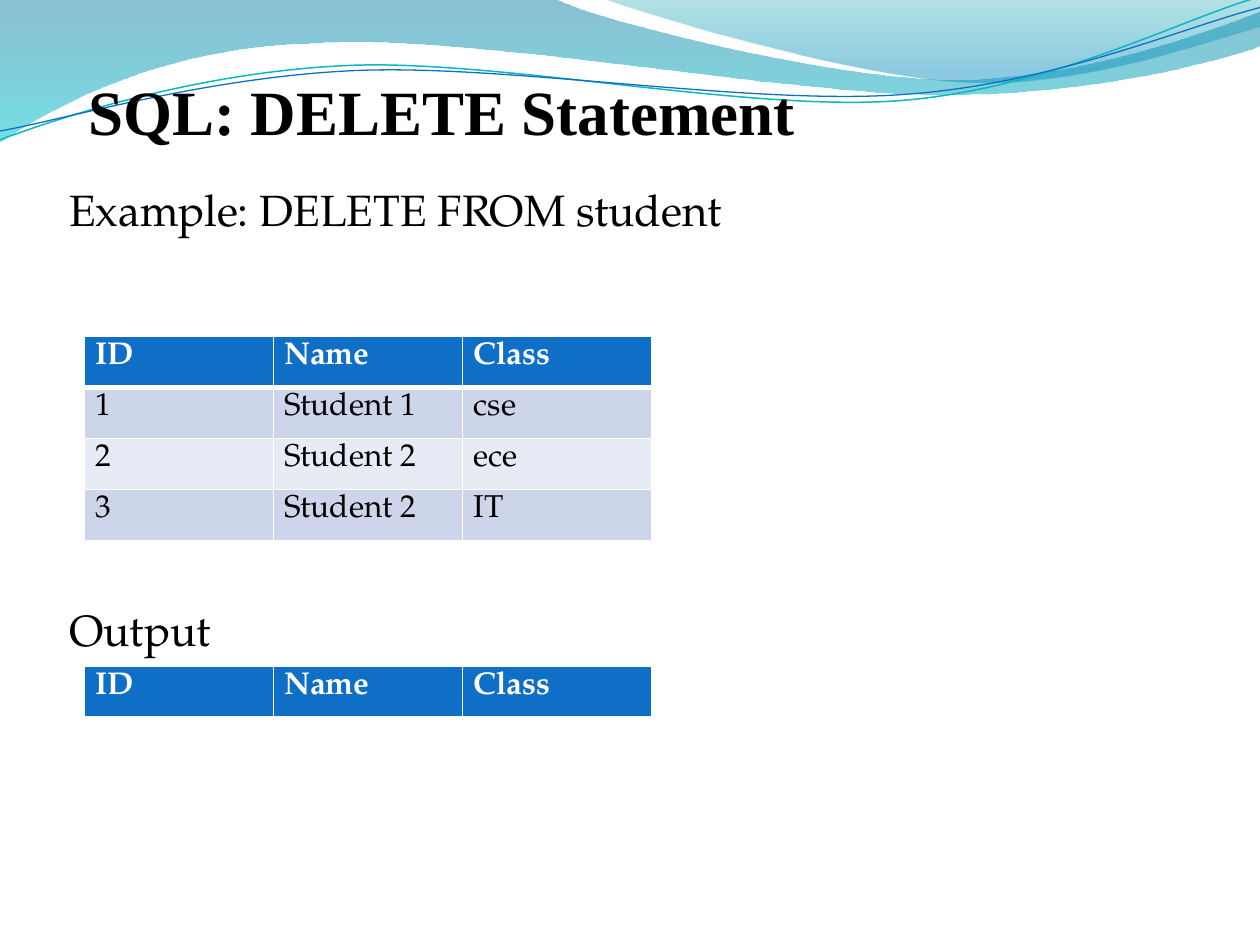
"""Build the SQL DELETE statement slide with its wave header and two tables."""
from lxml import etree
from pptx import Presentation
from pptx.dml.color import RGBColor
from pptx.oxml.ns import qn
from pptx.util import Inches, Pt

BLACK = RGBColor(0x00, 0x00, 0x00)
WHITE = RGBColor(0xFF, 0xFF, 0xFF)
BLUE = RGBColor(0x0F, 0x6F, 0xC6)
TEAL = RGBColor(0x0A, 0xB8, 0xBF)
BAND_DARK = RGBColor(0xCC, 0xD5, 0xEA)
BAND_LIGHT = RGBColor(0xE7, 0xEB, 0xF5)
DEEP_BLUE = RGBColor(0x00, 0x74, 0xA1)
CYAN = RGBColor(0x00, 0xC6, 0xCF)
SEA_GREEN = RGBColor(0x00, 0xA1, 0xA9)
SKY_BLUE = RGBColor(0x00, 0x8B, 0xBF)
BODY_FONT = "TeX Gyre Pagella"
TITLE_FONT = "Times New Roman"

presentation = Presentation()
presentation.slide_width = Inches(10)
presentation.slide_height = Inches(7.5)
slide = presentation.slides.add_slide(presentation.slide_layouts[6])


def add_wave(start, segments, close):
    """Draw a path of two-number lines and six-number Bezier curves."""
    points = [(Inches(segment[i]), Inches(segment[i + 1]))
              for segment in segments for i in range(0, len(segment), 2)]
    builder = slide.shapes.build_freeform(Inches(start[0]), Inches(start[1]))
    builder.add_line_segments(points, close=close)
    shape = builder.convert_to_shape()
    shape.shadow.inherit = False
    lines = iter(list(shape.element.spPr.iter(qn("a:lnTo"))))
    for segment in segments:
        line = next(lines)
        if len(segment) == 6:
            curve = etree.Element(qn("a:cubicBezTo"))
            line.addprevious(curve)
            for member in (line, next(lines), next(lines)):
                curve.append(member[0])
                member.getparent().remove(member)
    return shape


def style_runs(paragraph, font_name, size, color, bold=False):
    """Format every run of a paragraph."""
    for run in paragraph.runs:
        run.font.name = font_name
        run.font.size = Pt(size)
        run.font.color.rgb = color
        run.font.bold = bold


filled_waves = [
    ((0, 0),
     [(4.4, -0.01), (4.76, 0.17, 6.64, 0.63, 7.58, 0.63),
      (8.53, 0.63, 9.58, 0.26, 10, 0.09), (10.01, 0.36),
      (9.83, 0.44, 8.7, 0.76, 7.46, 0.75), (6.22, 0.75, 3.82, 0.28, 2.57, 0.34),
      (1.29, 0.36, 0.46, 0.83, -0.01, 1.13)],
     [(0, DEEP_BLUE, 45), (1, CYAN, 55)]),
    ((4.79, -0.01),
     [(5.09, 0.11, 6.82, 0.62, 7.69, 0.65), (8.56, 0.69, 9.61, 0.32, 10, 0.21), (10, 0)],
     [(0, SEA_GREEN, 30), (0.8, SKY_BLUE, 45)]),
]
for start, segments, stops in filled_waves:
    wave = add_wave(start, segments, True)
    wave.line.fill.background()
    wave.fill.gradient()
    wave.fill.gradient_angle = 270
    for stop, (position, color, opacity) in zip(wave.fill.gradient_stops, stops):
        stop.position = position
        stop.color.rgb = color
    color_elements = wave.element.spPr.find(qn("a:gradFill")).iter(qn("a:srgbClr"))
    for color_element, (position, color, opacity) in zip(color_elements, stops):
        etree.SubElement(color_element, qn("a:alpha"), val=str(opacity * 1000))

line_waves = [
    ((0, 1.11),
     [(0.48, 0.93, 1.58, 0.57, 2.77, 0.52), (3.95, 0.47, 5.93, 0.89, 7.13, 0.8),
      (8.33, 0.71, 9.38, 0.15, 9.98, -0.02)], TEAL, 0.85),
    ((0, 1.04),
     [(0.47, 0.96, 1.64, 0.61, 2.83, 0.56), (4.03, 0.51, 5.97, 0.84, 7.17, 0.75),
      (8.36, 0.67, 9.41, 0.21, 10, 0.06)], BLUE, 0.75),
]
for start, segments, color, width in line_waves:
    wave = add_wave(start, segments, False)
    wave.fill.background()
    wave.line.color.rgb = color
    wave.line.width = Pt(width)

title_box = slide.shapes.add_textbox(Inches(0.61), Inches(0.43), Inches(6.43), Inches(0.6))
body_box = slide.shapes.add_textbox(Inches(0.46), Inches(1.41), Inches(9.08), Inches(4.31))
for box in (title_box, body_box):
    text_frame = box.text_frame
    text_frame.word_wrap = True
    text_frame.margin_left = text_frame.margin_right = Inches(0.09)
    text_frame.margin_top = text_frame.margin_bottom = Inches(0.04)

title_box.text_frame.text = "SQL: DELETE Statement"
title = title_box.text_frame.paragraphs[0]
title.line_spacing = 1.17
style_runs(title, TITLE_FONT, 36, BLACK, True)

body_box.text_frame.text = "Example: DELETE FROM student\nOutput"
for paragraph in body_box.text_frame.paragraphs:
    style_runs(paragraph, BODY_FONT, 25, BLACK)
body_box.text_frame.paragraphs[1].space_before = Pt(210)

header = ("ID", "Name", "Class")
students = [("1", "Student 1", "cse"), ("2", "Student 2", "ece"), ("3", "Student 2", "IT")]
for top, height, rows in ((2.67, 1.62, [header] + students), (5.29, 0.41, [header])):
    table = slide.shapes.add_table(len(rows), len(header), Inches(0.67), Inches(top),
                                   Inches(4.5), Inches(height)).table
    for row_index, row in enumerate(rows):
        is_header = row_index == 0
        fill_color = BLUE if is_header else BAND_DARK if row_index % 2 else BAND_LIGHT
        borders = {"a:lnL": 1, "a:lnR": 1, "a:lnT": 3 if row_index == 1 else 1,
                   "a:lnB": 3 if is_header else 1}
        for column_index, text in enumerate(row):
            cell = table.cell(row_index, column_index)
            cell.margin_left = cell.margin_right = Inches(0.09)
            cell.margin_top = cell.margin_bottom = Inches(0.04)
            cell.text_frame.text = text
            style_runs(cell.text_frame.paragraphs[0], BODY_FONT, 18,
                       WHITE if is_header else BLACK, is_header)
            properties = cell._tc.get_or_add_tcPr()
            for tag, width in borders.items():
                border = etree.SubElement(properties, qn(tag), w=str(Pt(width)))
                solid = etree.SubElement(border, qn("a:solidFill"))
                etree.SubElement(solid, qn("a:srgbClr"), val=str(WHITE))
            cell.fill.solid()
            cell.fill.fore_color.rgb = fill_color

presentation.save("out.pptx")
